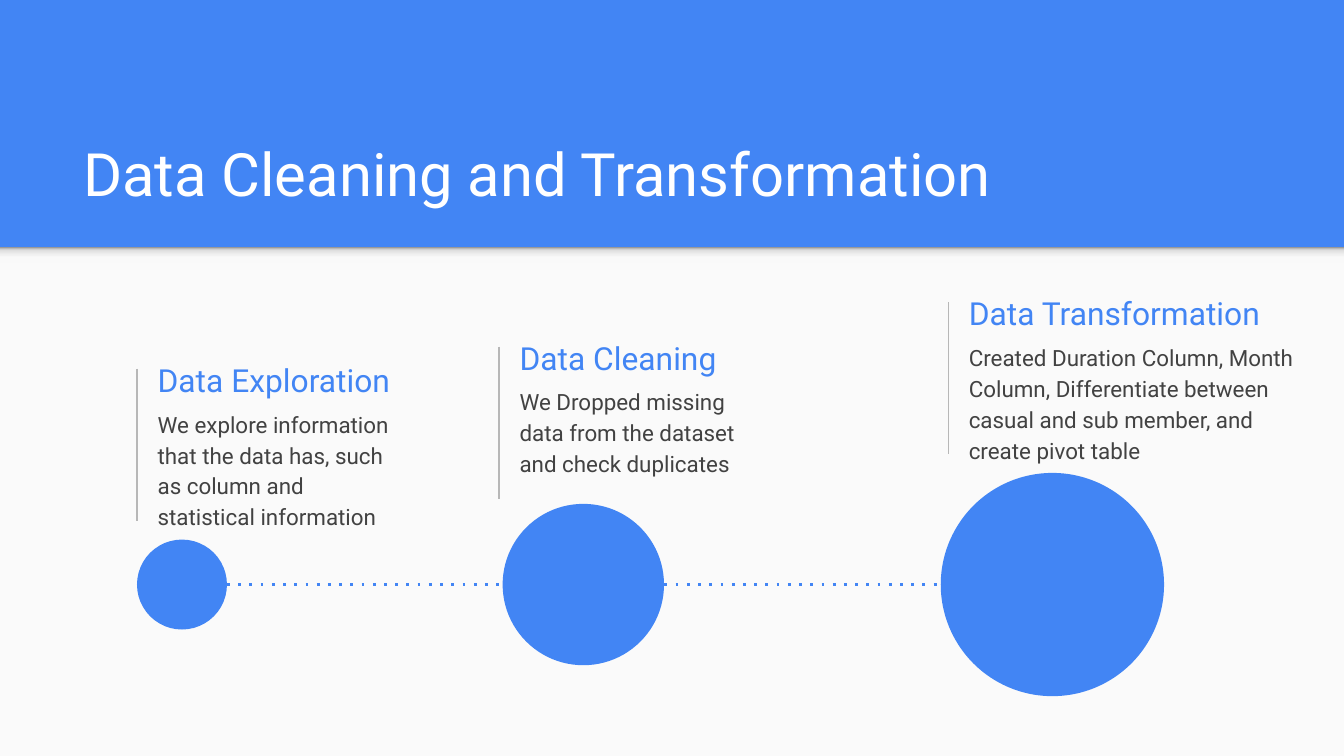
from copy import deepcopy
from dataclasses import dataclass

from lxml import etree
from pptx import Presentation
from pptx import util as u
from pptx.dml.color import RGBColor
from pptx.enum import shapes, text
from pptx.oxml.ns import qn


@dataclass(frozen=True)
class Theme:
    font: str = "Roboto"
    blue: str = "4285F4"
    panel: str = "FAFAFA"
    white: str = "FFFFFF"
    body: str = "424242"
    rule: str = "B7B7B7"
    shade: tuple = ((0, "F9F9F9"), (0.36, "F9F9F9"), (0.8, "DEDEDE"), (1, "999999"))
    title_size: int = 32
    heading_size: int = 17
    body_size: int = 12


@dataclass(frozen=True)
class Step:
    heading: str
    body: str
    rule_left: float
    rule_top: float
    heading_width: float
    body_width: float
    circle_left: float
    diameter: float


STEPS = (
    Step("Data Exploration",
         "We explore information that the data has, such as column and statistical information",
         2.59, 6.97, 5.03, 5.03, 2.59, 1.7),
    Step("Data Cleaning",
         "We Dropped missing data from the dataset and check duplicates",
         9.43, 6.55, 5.03, 5.03, 9.5, 3.05),
    Step("Data Transformation",
         "Created Duration Column, Month Column, Differentiate between casual and sub member, "
         "and create pivot table",
         17.92, 5.71, 6.53, 6.86, 17.78, 4.22),
)
WIDTH, HEIGHT = 25.4, 14.29
BANNER_HEIGHT = 4.67
AXIS = 11.05
RULE_LENGTH = 2.88


def apply(target, values):
    for name, value in values.items():
        setattr(target, name, value)


class SlideBuilder:
    def __init__(self, page, theme):
        self.page = page
        self.theme = theme

    def background(self, color):
        fill = self.page.background.fill
        fill.solid()
        fill.fore_color.rgb = RGBColor.from_string(color)

    def shape(self, kind, left, top, width, height, color=None):
        shape = self.page.shapes.add_shape(kind, *map(u.Cm, (left, top, width, height)))
        shape.shadow.inherit = False
        shape.line.fill.background()
        if color:
            shape.fill.solid()
            shape.fill.fore_color.rgb = RGBColor.from_string(color)
        return shape

    def shade(self, left, top, width, height):
        fill = self.shape(shapes.MSO_SHAPE.RECTANGLE, left, top, width, height)
        stops_list = fill._element.spPr
        fill.fill.gradient()
        fill.fill.gradient_angle = 90
        stops_list = stops_list.find(".//" + qn("a:gsLst"))
        while len(stops_list) < len(self.theme.shade):
            stops_list.append(deepcopy(stops_list[0]))
        for stop, (position, color) in zip(fill.fill.gradient_stops, self.theme.shade):
            stop.position = position
            stop.color.rgb = RGBColor.from_string(color)

    def line(self, start, end, color, weight, dash=None):
        line = self.page.shapes.add_connector(
            shapes.MSO_CONNECTOR.STRAIGHT, *map(u.Cm, (*start, *end)))
        line.line.color.rgb = RGBColor.from_string(color)
        line.line.width = u.Pt(weight)
        properties = line._element.spPr
        if dash:
            etree.SubElement(properties.find(qn("a:ln")), qn("a:prstDash"), val=dash)
        etree.SubElement(properties, qn("a:effectLst"))

    def text(self, words, left, top, width, height, size, color, anchor, spacing=1.0):
        box = self.page.shapes.add_textbox(*map(u.Cm, (left, top, width, height)))
        inset = u.Cm(0.25)
        apply(box.text_frame, {
            "word_wrap": True, "vertical_anchor": anchor,
            "margin_left": inset, "margin_right": inset,
            "margin_top": inset, "margin_bottom": inset,
        })
        para = box.text_frame.paragraphs[0]
        para.line_spacing = spacing
        span = para.add_run()
        span.text = words
        apply(span.font, {"name": self.theme.font, "size": u.Pt(size)})
        span.font.color.rgb = RGBColor.from_string(color)

    def step(self, step):
        theme = self.theme
        left, top = step.rule_left, step.rule_top
        self.line((left, top), (left, top + RULE_LENGTH), theme.rule, 0.75)
        self.text(step.heading, left + 0.14, top - 0.34, step.heading_width, 1.09,
                  theme.heading_size, theme.blue, text.MSO_ANCHOR.MIDDLE)
        self.text(step.body, left + 0.14, top + 0.47, step.body_width, 1.6,
                  theme.body_size, theme.body, text.MSO_ANCHOR.TOP, 1.15)

    def circle(self, step):
        self.shape(shapes.MSO_SHAPE.OVAL, step.circle_left, AXIS - step.diameter / 2,
                   step.diameter, step.diameter, self.theme.blue)


def main():
    theme = Theme()
    deck = Presentation()
    apply(deck, {"slide_width": u.Cm(WIDTH), "slide_height": u.Cm(HEIGHT)})
    slide = SlideBuilder(deck.slides.add_slide(deck.slide_layouts[6]), theme)

    slide.background(theme.blue)
    slide.shape(shapes.MSO_SHAPE.RECTANGLE, 0, BANNER_HEIGHT, WIDTH,
                HEIGHT - BANNER_HEIGHT, theme.panel)
    slide.shade(0, BANNER_HEIGHT, WIDTH, 0.3)
    slide.text("Data Cleaning and Transformation", 1.32, 2.06, 22.83, 2.13,
               theme.title_size, theme.white, text.MSO_ANCHOR.BOTTOM)
    for step in STEPS:
        slide.step(step)
    first, last = STEPS[0], STEPS[-1]
    slide.line((first.circle_left + first.diameter, AXIS), (last.circle_left, AXIS),
               theme.blue, 1.5, "dot")
    for step in STEPS:
        slide.circle(step)
    deck.save("out.pptx")


if __name__ == "__main__":
    main()
